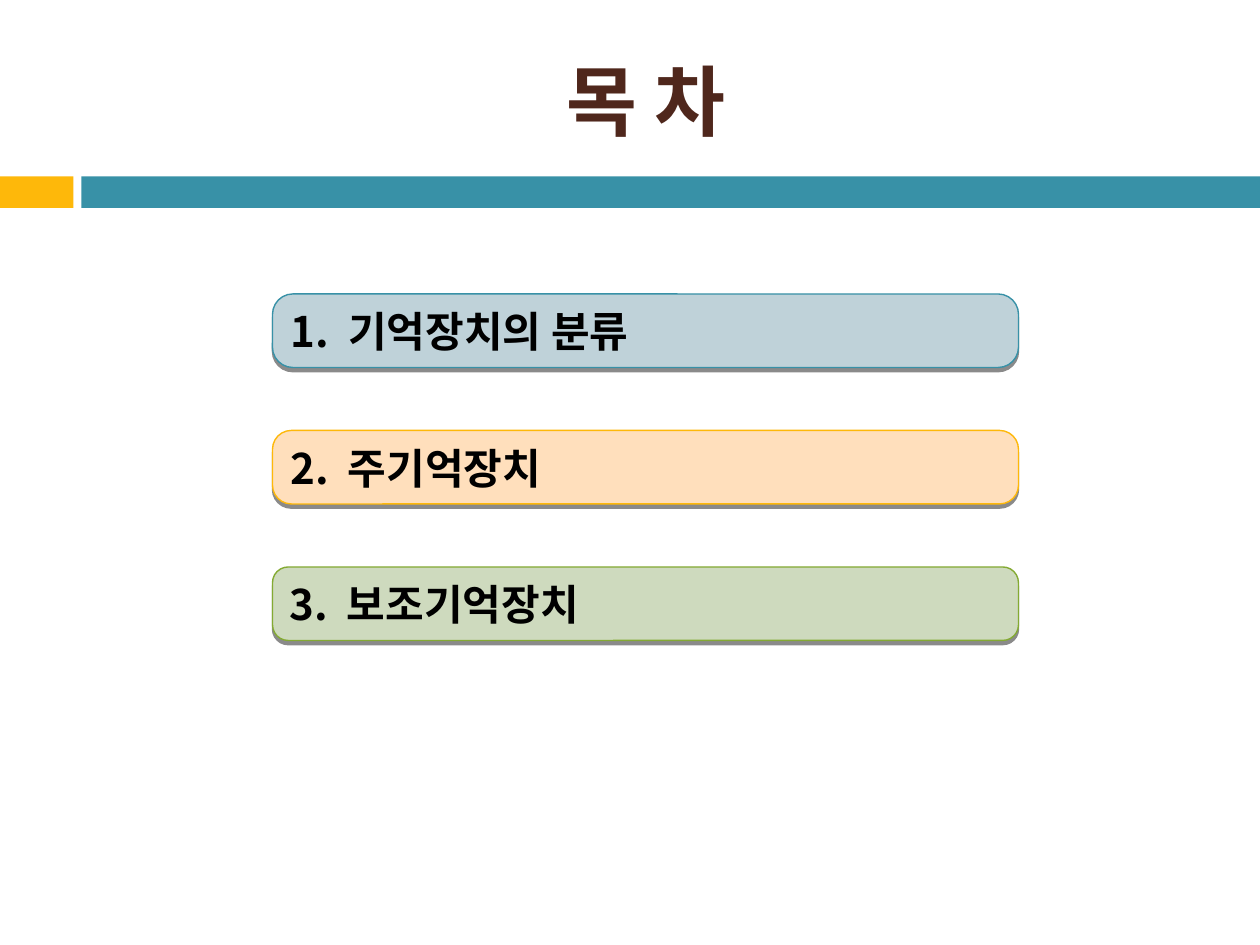
from dataclasses import dataclass

from lxml import etree
from pptx import Presentation
from pptx.dml.color import RGBColor
from pptx.enum.shapes import MSO_SHAPE
from pptx.enum.text import MSO_ANCHOR, PP_ALIGN
from pptx.oxml.ns import qn
from pptx.util import Pt

RECT = MSO_SHAPE.RECTANGLE
ROUND = MSO_SHAPE.ROUNDED_RECTANGLE
MIDDLE = MSO_ANCHOR.MIDDLE
LEFT, CENTER = PP_ALIGN.LEFT, PP_ALIGN.CENTER
FONT = "Noto Sans CJK KR"
COLORS = {
    "teal": "3891A7", "amber": "FEB80A", "green": "84AA33",
    "mist": "BFD2D9", "peach": "FFDFBC", "sage": "CEDABE",
    "brown": "4F271C", "black": "000000",
}


@dataclass
class Bar:
    left: float
    width: float
    fill: str


@dataclass
class Topic:
    name: str
    fill: str
    line: str
    curve: float


BARS = [Bar(0, 42, "amber"), Bar(46.5, 673.5, "teal")]
TOPICS = [
    Topic("기억장치의 분류", "mist", "teal", 0.277),
    Topic("주기억장치", "peach", "amber", 0.256),
    Topic("보조기억장치", "sage", "green", 0.214),
]
TOP, STEP = 168, 78


def color(name: str) -> RGBColor:
    return RGBColor.from_string(COLORS[name])


def write(shape, *parts: str, size: float, ink: str, align=LEFT, gap: float = 0) -> None:
    frame = shape.text_frame
    frame.word_wrap = True
    frame.vertical_anchor = MIDDLE
    para = frame.paragraphs[0]
    para.alignment = align
    for part in parts:
        run = para.add_run()
        run.text = part
        font = run.font
        font.name, font.size, font.bold = FONT, Pt(size), True
        font.color.rgb = color(ink)
        props = run._r.get_or_add_rPr()
        etree.SubElement(props, qn("a:ea"), typeface=FONT)
        if part == " ":
            props.set("spc", str(round(gap * 100)))


def draw_bar(slide, bar: Bar) -> None:
    shape = slide.shapes.add_shape(RECT, Pt(bar.left), Pt(100.8), Pt(bar.width), Pt(18))
    shape.shadow.inherit = False
    shape.fill.solid()
    shape.fill.fore_color.rgb = color(bar.fill)
    shape.line.fill.background()


def add_shadow(shape) -> None:
    shape.shadow.inherit = False
    effects = shape._element.spPr.find(qn("a:effectLst"))
    shadow = etree.SubElement(
        effects, qn("a:outerShdw"), blurRad="0", dist=str(Pt(2.4)),
        dir="5400000", rotWithShape="0",
    )
    tint = etree.SubElement(shadow, qn("a:srgbClr"), val=COLORS["black"])
    etree.SubElement(tint, qn("a:alpha"), val="45000")


def draw_topic(slide, index: int, topic: Topic) -> None:
    shape = slide.shapes.add_shape(
        ROUND, Pt(155.7), Pt(TOP + index * STEP), Pt(426.3), Pt(42)
    )
    shape.adjustments[0] = topic.curve
    shape.fill.solid()
    shape.fill.fore_color.rgb = color(topic.fill)
    shape.line.color.rgb = color(topic.line)
    shape.line.width = Pt(0.79)
    add_shadow(shape)
    write(shape, f"{index + 1}.", " ", topic.name, size=24, ink="black", gap=5.4)


def main() -> None:
    deck = Presentation()
    deck.slide_width, deck.slide_height = Pt(720), Pt(540)
    slide = deck.slides.add_slide(deck.slide_layouts[6])
    for bar in BARS:
        draw_bar(slide, bar)
    title = slide.shapes.add_textbox(Pt(48), Pt(18), Pt(642), Pt(78))
    write(title, "목 차", size=44, ink="brown", align=CENTER)
    for index, topic in enumerate(TOPICS):
        draw_topic(slide, index, topic)
    deck.save("out.pptx")


if __name__ == "__main__":
    main()
